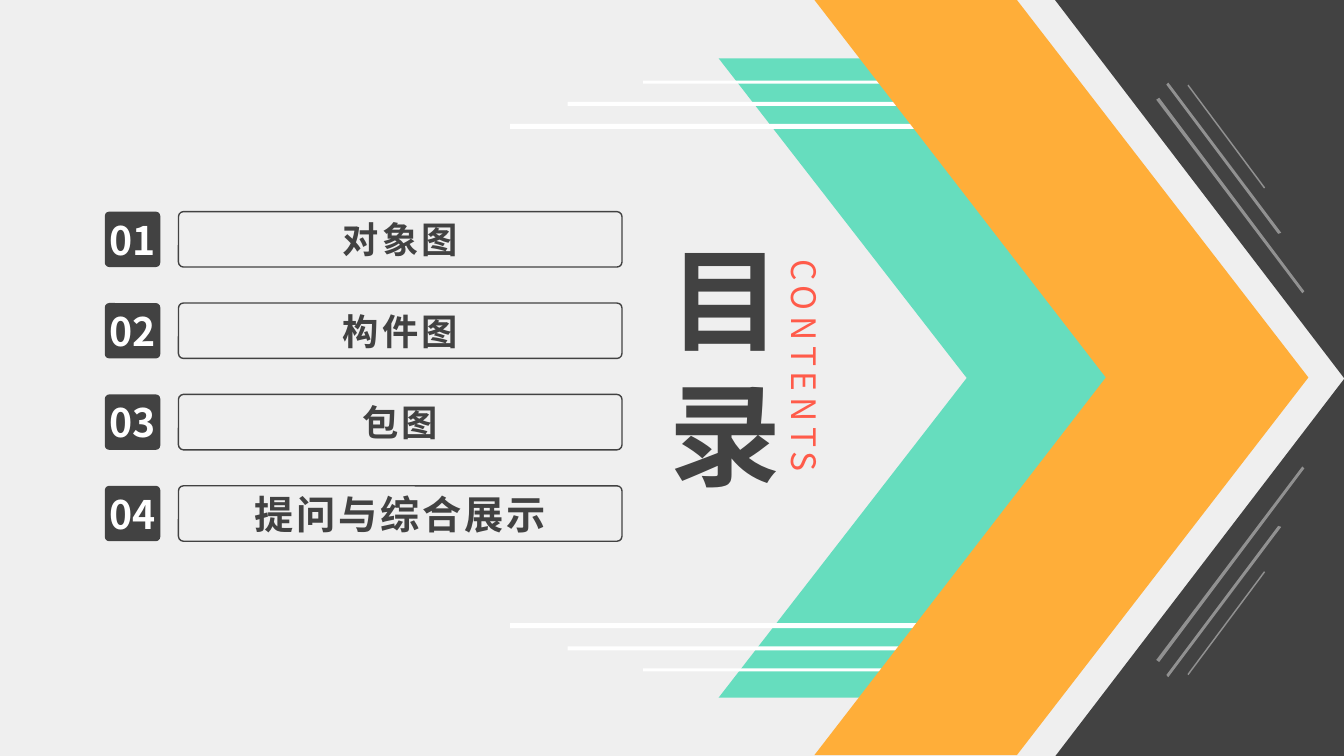
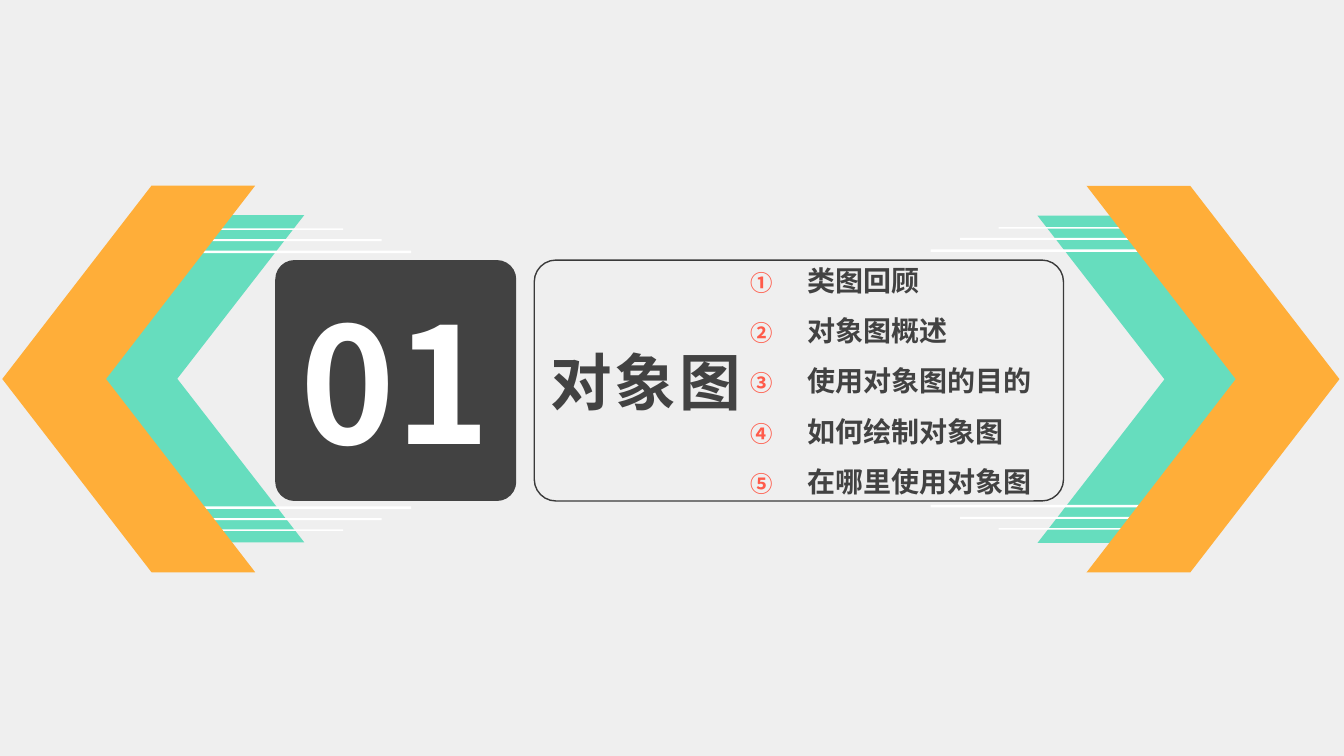
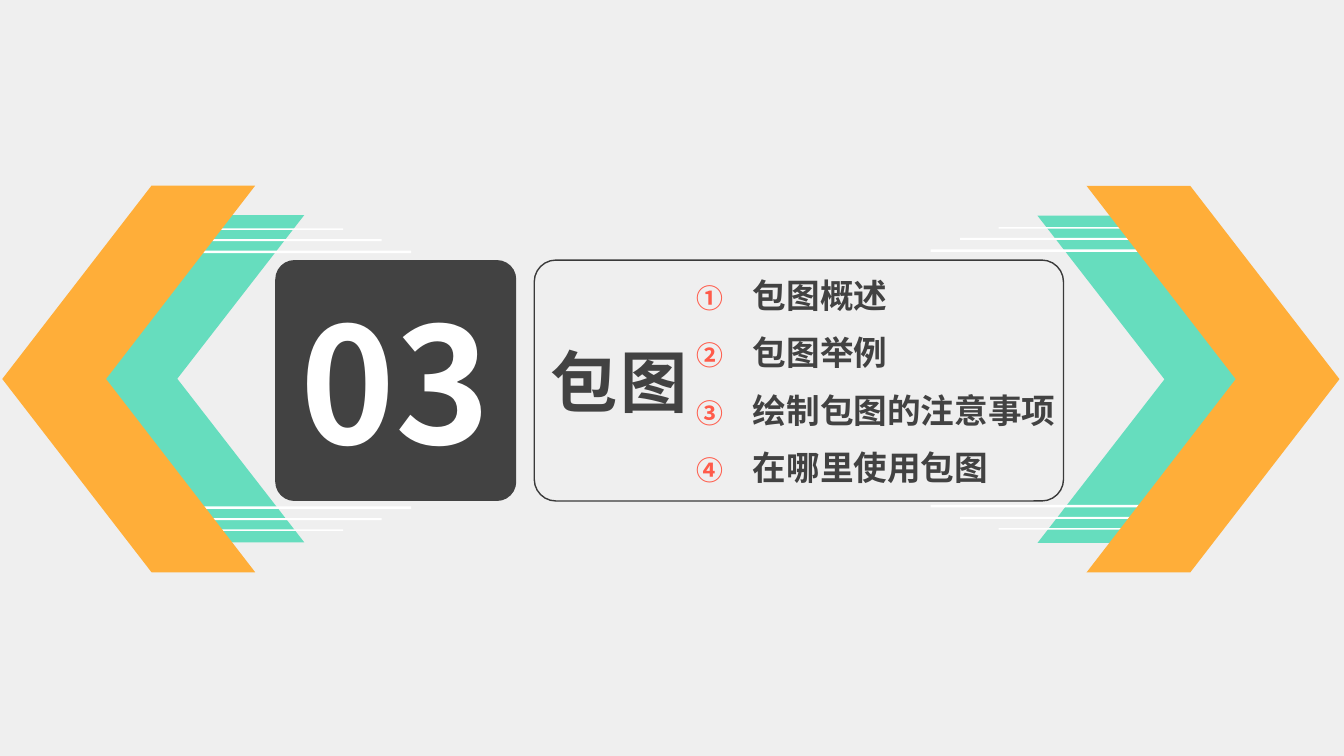
from lxml import etree
from pptx import Presentation
from pptx.dml.color import RGBColor
from pptx.enum.shapes import MSO_SHAPE as SHAPE
from pptx.enum.text import MSO_AUTO_SIZE as AUTO, PP_ALIGN as ALIGN
from pptx.oxml.ns import qn
from pptx.util import Inches, Pt

FONT = "Noto Sans CJK SC"
PAPER, DARK, GREY, WHITE = "EFEFEF", "424242", "919191", "FFFFFF"
MINT, ORANGE, CORAL = "66DDBE", "FFAE39", "FF5B4A"
rgb = RGBColor.from_string

prs = Presentation()
prs.slide_width, prs.slide_height = Inches(13.33), Inches(7.5)
# Grid: 100 columns by 100 rows
COL, ROW = prs.slide_width / 100, prs.slide_height / 100


def add(s, kind, x, y, w, h, fill=None, line=None, adj=None, rot=0):
    """Place a shape, or a text box when kind is None, in columns and rows."""
    box = [round(v) for v in (x * COL, y * ROW, w * COL, h * ROW)]
    if kind is None:
        sp = s.shapes.add_textbox(*box)
    else:
        sp = s.shapes.add_shape(kind, *box)
        sp.shadow.inherit = False
        if fill:
            sp.fill.solid()
            sp.fill.fore_color.rgb = rgb(fill)
        else:
            sp.fill.background()
        if line:
            sp.line.color.rgb = rgb(line)
            sp.line.width = Pt(1)
        else:
            sp.line.fill.background()
        if adj:
            sp.adjustments[0] = adj
    sp.rotation = rot
    return sp


def write(sp, text, size, color, align=ALIGN.LEFT, bold=True, spacing=0, inset=None):
    """Fill a shape with text, one paragraph a line."""
    tf = sp.text_frame
    tf.word_wrap = True
    if inset is not None:
        tf.margin_left = tf.margin_top = tf.margin_right = tf.margin_bottom = inset
    tf.text = text
    for p in tf.paragraphs:
        p.alignment = align
        r = p.runs[0]
        r.font.size, r.font.bold, r.font.name = Pt(size), bold, FONT
        r.font.color.rgb = rgb(color)
        rPr = r.font._element
        etree.SubElement(rPr, qn("a:ea")).set("typeface", FONT)
        if spacing:
            rPr.set("spc", str(spacing * 100))
    return tf


slides = [prs.slides.add_slide(prs.slide_layouts[6]) for _ in range(3)]
for s in slides:
    s.background.fill.solid()
    s.background.fill.fore_color.rgb = rgb(PAPER)

# Contents: dark corners on the right
s = slides[0]
add(s, SHAPE.RIGHT_TRIANGLE, 75.23, 55.87, 28.13, 38.27, DARK, rot=270)
add(s, SHAPE.RIGHT_TRIANGLE, 78.5, 0, 21.5, 50, DARK, rot=180)

# Contents: slanted bars, mirrored top to bottom
BARS = [
    [(86.25, 12.93), (86.03, 13.2), (96.9, 38.8), (97.05, 38.53)],
    [(86.93, 10.93), (86.78, 11.2), (95.1, 30.93), (95.33, 30.8)],
    [(88.43, 11.2), (88.35, 11.33), (94.05, 24.93), (94.13, 24.8)],
]
for mirrored in (False, True):
    for bar in BARS:
        pts = [(round(x * COL), round((100.5 - y if mirrored else y) * ROW)) for x, y in bar]
        fb = s.shapes.build_freeform(*pts[0])
        fb.add_line_segments(pts[1:], close=True)
        sp = fb.convert_to_shape()
        sp.shadow.inherit = False
        sp.fill.solid()
        sp.fill.fore_color.rgb = rgb(GREY)
        sp.line.fill.background()

# Contents: numbered rows
TOPICS = [("对象图", 25.9), ("构件图", 25.9), ("包图", 25.9), ("提问与综合展示", 28)]
for i, (topic, size) in enumerate(TOPICS):
    y = 28 + 12.09 * i
    sp = add(s, SHAPE.ROUNDED_RECTANGLE, 7.8, y, 4.13, 7.33, DARK, adj=0.08)
    write(sp, f"{i + 1:02}", 28, WHITE, ALIGN.CENTER, inset=0)
    sp = add(s, SHAPE.ROUNDED_RECTANGLE, 13.28, y, 33, 7.33, line=DARK, adj=0.09)
    write(sp, topic, size, DARK, ALIGN.CENTER, spacing=2)

# Contents: upright title
tf = write(add(s, None, 49.05, 29.87, 9.9, 37.2), "目\n录", 80, DARK)
tf.word_wrap, tf.auto_size = False, AUTO.SHAPE_TO_FIT_TEXT
write(add(s, None, 50.22, 45.93, 18.75, 7.6, rot=90), "CONTENTS", 24, CORAL,
      bold=False, spacing=4)

# Sections: number, title, list box, list size, list items
SECTIONS = [
    ("01", "对象图", 44, (55.13, 34.13, 39.15, 42.4), 20,
     ["类图回顾", "对象图概述", "使用对象图的目的", "如何绘制对象图", "在哪里使用对象图"]),
    ("03", "包图", 48, (51.08, 35.73, 39.15, 31.07), 24,
     ["包图概述", "包图举例", "绘制包图的注意事项", "在哪里使用包图"]),
]
for s, (number, title, title_size, box, size, items) in zip(slides[1:], SECTIONS):
    sp = add(s, SHAPE.ROUNDED_RECTANGLE, 20.48, 34.4, 17.93, 31.87, DARK, adj=0.08)
    write(sp, number, 115, WHITE, ALIGN.CENTER, inset=0)
    sp = add(s, SHAPE.ROUNDED_RECTANGLE, 39.75, 34.4, 39.38, 31.87, line="3A3A3A", adj=0.09)
    write(sp, title, title_size, DARK, spacing=2)
    tf = write(add(s, None, *box), "\n".join(items), size, DARK)
    for i, p in enumerate(tf.paragraphs):
        pPr = p._p.get_or_add_pPr()
        pPr.set("marL", str(Inches(0.56)))
        pPr.set("indent", str(-Inches(0.56)))
        bu = etree.SubElement(pPr, qn("a:buClr"))
        etree.SubElement(bu, qn("a:srgbClr")).set("val", CORAL)
        etree.SubElement(pPr, qn("a:buSzPct")).set("val", "80000")
        etree.SubElement(pPr, qn("a:buAutoNum")).set("type", "circleNumDbPlain")
        p.space_after = Pt(6)
        if i:
            p.space_before = Pt(6)

# Arrow motif at full size: mint chevron, white stripes, orange chevron
STRIPES = [(37.95, 16.4, 0.67), (42.23, 13.47, 0.53), (47.85, 10.67, 0.4)]
ARROW = [(SHAPE.CHEVRON, 53.48, 7.73, 36.9, 84.53, MINT, 0.5)]
for x, y, h in STRIPES:
    for top in (y, 99.5 - y - h):
        ARROW.append((SHAPE.RECTANGLE, x, top, 71.93 - x, h, WHITE, None))
ARROW.append((SHAPE.CHEVRON, 60.6, 0, 36.75, 99.87, ORANGE, 0.59))

# Placement: slide, left, top, scale, rotation
SMALL = 18.9 / 36.9  # mint chevron's width on a section slide over its full width
PLACES = [(slides[0], 0, 0, 1, 0)]
PLACES += [(s, 49.8, 24.57, SMALL, rot) for s in slides[1:] for rot in (0, 180)]
for s, left, top, k, rot in PLACES:
    for kind, x, y, w, h, fill, adj in ARROW:
        x, y, w, h = left + x * k, top + y * k, w * k, h * k
        if rot:
            x, y = 99.83 - x - w, 100.27 - y - h
        add(s, kind, x, y, w, h, fill, adj=adj, rot=rot)

prs.save("out.pptx")
